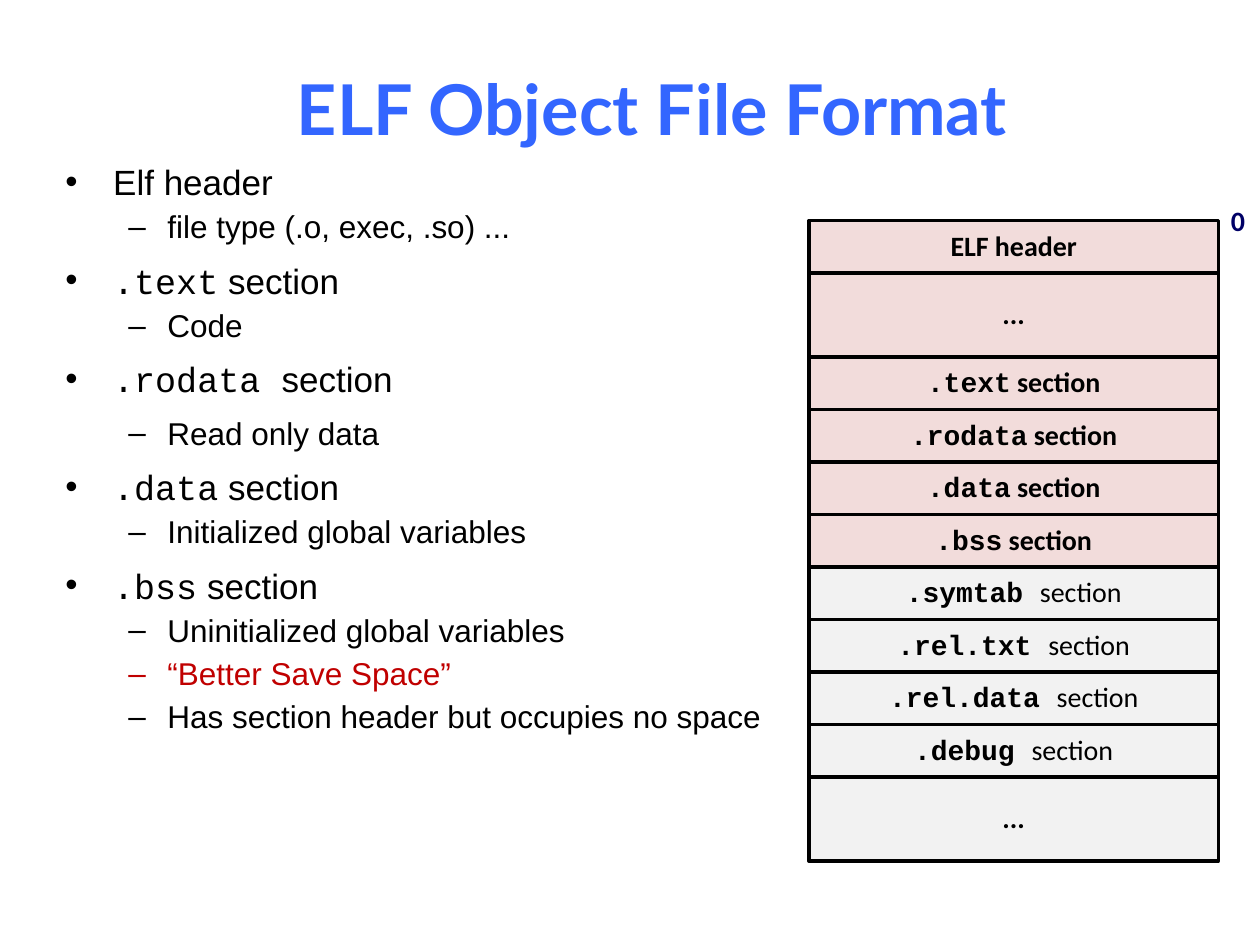
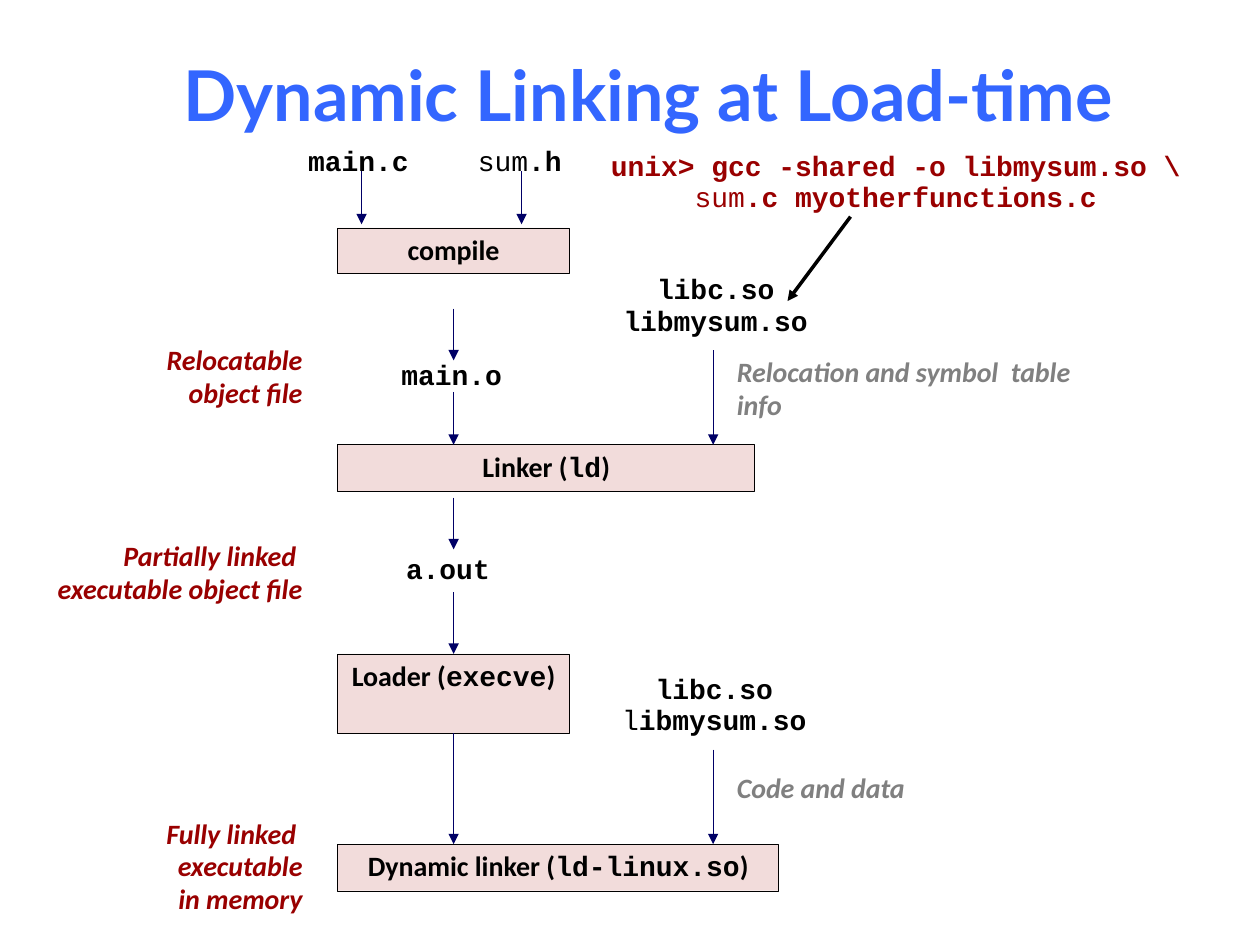
from dataclasses import dataclass

from lxml import etree
from pptx import Presentation
from pptx.dml.color import RGBColor
from pptx.enum.shapes import MSO_CONNECTOR, MSO_SHAPE
from pptx.enum.text import MSO_ANCHOR, PP_ALIGN
from pptx.oxml.ns import qn
from pptx.util import Inches, Pt

RECTANGLE = MSO_SHAPE.RECTANGLE
STRAIGHT = MSO_CONNECTOR.STRAIGHT
TOP, MIDDLE = MSO_ANCHOR.TOP, MSO_ANCHOR.MIDDLE
LEFT, CENTER, RIGHT = PP_ALIGN.LEFT, PP_ALIGN.CENTER, PP_ALIGN.RIGHT
SIDE_TOP, SIDE_BOTTOM = 0, 2


@dataclass(frozen=True)
class Theme:
    title_font: str = "Lato"
    body_font: str = "Arial"
    label_font: str = "Calibri"
    code_font: str = "Courier New"
    title_size: int = 40
    topic_size: int = 20
    detail_size: int = 18
    label_size: int = 16
    title: str = "3366FF"
    ink: str = "000000"
    navy: str = "000066"
    dark_red: str = "990000"
    bright_red: str = "C00000"
    gray: str = "808080"
    pink_fill: str = "F2DCDB"
    gray_fill: str = "F2F2F2"


theme = Theme()


def write_runs(paragraph, runs, font, size, color):
    """Add (text, flags) runs; flags are m for monospace, b for bold, i for italic."""
    for text, flags in runs:
        run = paragraph.add_run()
        run.text = text
        run.font.name = theme.code_font if "m" in flags else font
        run.font.size = Pt(size)
        run.font.bold = "b" in flags
        run.font.italic = "i" in flags
        run.font.color.rgb = RGBColor.from_string(color)


def add_box(slide, place, paragraphs, align=CENTER, color=theme.ink, font=theme.label_font,
            size=theme.label_size, spacing=0.98, anchor=TOP, wrap=False, fill=None, line_width=0.25):
    """Add a text box, or an outlined rectangle when a fill is given."""
    place = [Inches(length) for length in place]
    if fill:
        shape = slide.shapes.add_shape(RECTANGLE, *place)
        shape.shadow.inherit = False
        shape.fill.solid()
        shape.fill.fore_color.rgb = RGBColor.from_string(fill)
        shape.line.color.rgb = RGBColor.from_string(theme.ink)
        shape.line.width = Pt(line_width)
    else:
        shape = slide.shapes.add_textbox(*place)
    frame = shape.text_frame
    frame.word_wrap = wrap
    frame.vertical_anchor = anchor
    for index, runs in enumerate(paragraphs):
        paragraph = frame.add_paragraph() if index else frame.paragraphs[0]
        paragraph.alignment = align
        paragraph.line_spacing = spacing
        write_runs(paragraph, runs, font, size, color)
    return shape


presentation = Presentation()
presentation.slide_width, presentation.slide_height = Inches(10), Inches(7.5)
blank_layout = presentation.slide_layouts[6]

slides = []
for title, left, top in [("ELF Object File Format", 0.41, 0.42),
                         ("Dynamic Linking at Load-time", 0.38, 0.31)]:
    slide = presentation.slides.add_slide(blank_layout)
    add_box(slide, (left, top, 9.53, 0.86), [[(title, "b")]], color=theme.title,
            font=theme.title_font, size=theme.title_size, spacing=1.0, anchor=MIDDLE, wrap=True)
    slides.append(slide)
format_slide, linking_slide = slides

# Slide 1: section notes
topics = [
    ([("Elf header", "")], ["file type (.o, exec, .so) ..."]),
    ([(".text", "m"), (" section", "")], ["Code"]),
    ([(".rodata ", "m"), ("section", "")], ["Read only data"]),
    ([(".data", "m"), (" section", "")], ["Initialized global variables"]),
    ([(".bss", "m"), (" section", "")],
     ["Uninitialized global variables", "“Better Save Space”",
      "Has section header but occupies no space"]),
]
lines = []
for topic, details in topics:
    lines.append((0, topic))
    lines += [(1, [(detail, "")]) for detail in details]

notes = add_box(format_slide, (0.42, 1.28, 5.85, 5.72), [], wrap=True).text_frame
bullets = [("•", 0.38, -0.38), ("–", 0.81, -0.31)]
for index, (level, runs) in enumerate(lines):
    paragraph = notes.add_paragraph() if index else notes.paragraphs[0]
    bullet, margin, indent = bullets[level]
    properties = paragraph._p.get_or_add_pPr()
    properties.set("marL", str(Inches(margin)))
    properties.set("indent", str(Inches(indent)))
    etree.SubElement(properties, qn("a:buFont")).set("typeface", theme.body_font)
    etree.SubElement(properties, qn("a:buChar")).set("char", bullet)
    text = runs[0][0]
    tight = level == 1 and text != "Read only data"
    paragraph.level = level
    paragraph.line_spacing = 0.88 if tight else 0.8 if index else 0.83
    if index:
        paragraph.space_before = Pt(5.6 if tight else 12.5)
    write_runs(paragraph, runs, theme.body_font,
               theme.detail_size if level else theme.topic_size,
               theme.bright_red if text.startswith("“") else theme.ink)

# Slide 1: file layout
loaded, linking_only = theme.pink_fill, theme.gray_fill
row_height, gap_height = 5 / 12, 8 / 12
ellipsis_row = [("...", "b")]
file_rows = [([("ELF header", "b")], loaded), (ellipsis_row, loaded)]
for name in [".text", ".rodata", ".data", ".bss"]:
    file_rows.append(([(name, "mb"), (" section", "b")], loaded))
for name in [".symtab", ".rel.txt", ".rel.data", ".debug"]:
    file_rows.append(([(name + " ", "mb"), ("section", "")], linking_only))
file_rows.append((ellipsis_row, linking_only))

row_top = 1.75
for runs, fill in file_rows:
    height = gap_height if runs is ellipsis_row else row_height
    add_box(format_slide, (6.42, row_top, 3.25, height), [runs],
            spacing=0.94 if len(runs) > 1 else 0.98, anchor=MIDDLE, fill=fill, line_width=2)
    row_top += height
add_box(format_slide, (9.67, 1.58, 0.31, 0.37), [[("0", "b")]], align=LEFT, color=theme.navy)

# Slide 2: tools
tools = {}
for name, command, top, width, height in [
    ("compile", "", 1.81, 1.84, 0.36),
    ("Linker", "ld", 3.53, 3.31, 0.37),
    ("Loader", "execve", 5.19, 1.84, 0.63),
    ("Dynamic linker", "ld-linux.so", 6.7, 3.5, 0.37),
]:
    runs = [(name + " (", "b"), (command, "mb"), (")", "b")] if command else [(name, "b")]
    tools[name] = add_box(linking_slide, (2.68, top, width, height), [runs], fill=theme.pink_fill)

# Slide 2: files
for place, paragraphs in [
    ((2.34, 1.11, 1.01, 0.36), [[("main.c", "mb")]]),
    ((3.69, 1.11, 0.87, 0.36), [[("sum", "m"), (".h", "mb")]]),
    ((3.08, 2.81, 1.01, 0.36), [[("main.o", "mb")]]),
    ((3.12, 4.35, 0.87, 0.36), [[("a.out", "mb")]]),
    ((4.84, 2.13, 1.68, 0.61), [[("libc.so", "mb")], [("libmysum.so", "mb")]]),
    ((4.83, 5.3, 1.68, 0.61), [[("libc.so", "mb")], [("l", "m"), ("ibmysum.so", "mb")]]),
]:
    add_box(linking_slide, place, paragraphs, spacing=0.94)
add_box(linking_slide, (4.75, 1.15, 4.78, 0.61),
        [[("unix> gcc -shared -o libmysum.so \\", "mb")],
         [("     ", "mb"), ("sum", "m"), (".c myotherfunctions.c", "mb")]],
        align=LEFT, color=theme.dark_red, spacing=0.94)

# Slide 2: captions
for place, texts, align, color in [
    ((1, 2.68, 1.5, 0.63), ["Relocatable", "object file"], RIGHT, theme.dark_red),
    ((-0.25, 4.24, 2.75, 0.63), ["Partially linked ", "executable object file"], RIGHT, theme.dark_red),
    ((0.58, 6.44, 1.92, 0.89), ["Fully linked ", "executable", "in memory"], RIGHT, theme.dark_red),
    ((5.75, 2.78, 2.85, 0.63), ["Relocation and symbol  table info"], LEFT, theme.gray),
    ((5.75, 6.08, 1.94, 0.37), ["Code and data"], LEFT, theme.gray),
]:
    add_box(linking_slide, place, [[(text, "bi")] for text in texts], align=align, color=color, wrap=True)

# Slide 2: arrows
loader = tools["Loader"]
for start, end, color, width, source, target in [
    ((2.87, 1.36), (2.87, 1.78), theme.navy, 0.25, None, None),
    ((4.14, 1.36), (4.14, 1.78), theme.navy, 0.25, None, None),
    ((3.6, 2.45), (3.6, 2.86), theme.navy, 0.25, None, None),
    ((3.6, 3.11), (3.6, 3.53), theme.navy, 0.25, None, None),
    ((3.6, 3.95), (3.6, 4.36), theme.navy, 0.25, None, None),
    ((3.6, 4.7), (3.6, 5.19), theme.navy, 0.25, None, loader),
    ((3.6, 5.82), (3.6, 6.7), theme.navy, 0.25, loader, None),
    ((5.66, 2.78), (5.66, 3.53), theme.navy, 0.25, None, None),
    ((5.66, 5.95), (5.66, 6.7), theme.navy, 0.25, None, None),
    ((6.75, 1.72), (6.25, 2.39), theme.ink, 2, None, None),
]:
    arrow = linking_slide.shapes.add_connector(
        STRAIGHT, *[Inches(length) for length in start + end])
    arrow.line.color.rgb = RGBColor.from_string(color)
    arrow.line.width = Pt(width)
    etree.SubElement(arrow.line._get_or_add_ln(), qn("a:tailEnd")).set("type", "triangle")
    etree.SubElement(arrow._element.spPr, qn("a:effectLst"))
    if source:
        arrow.begin_connect(source, SIDE_BOTTOM)
    if target:
        arrow.end_connect(target, SIDE_TOP)

presentation.save("out.pptx")
